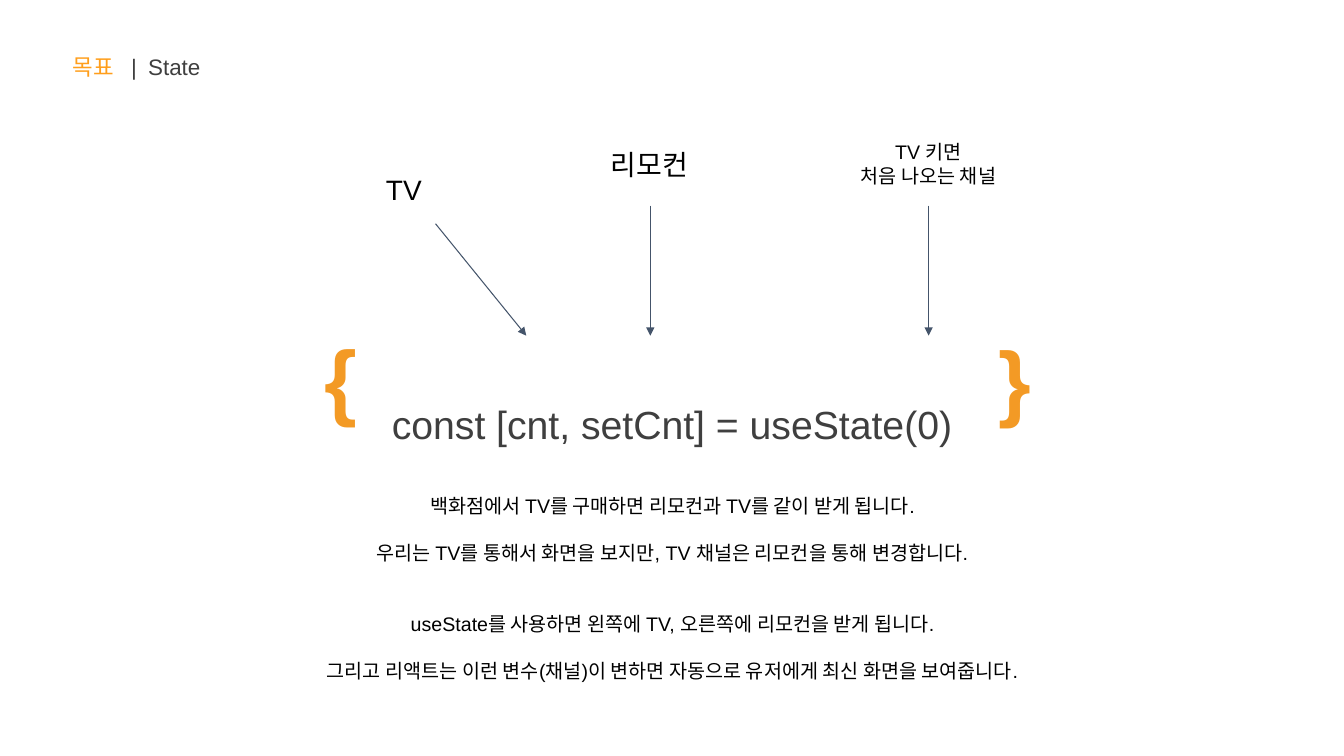
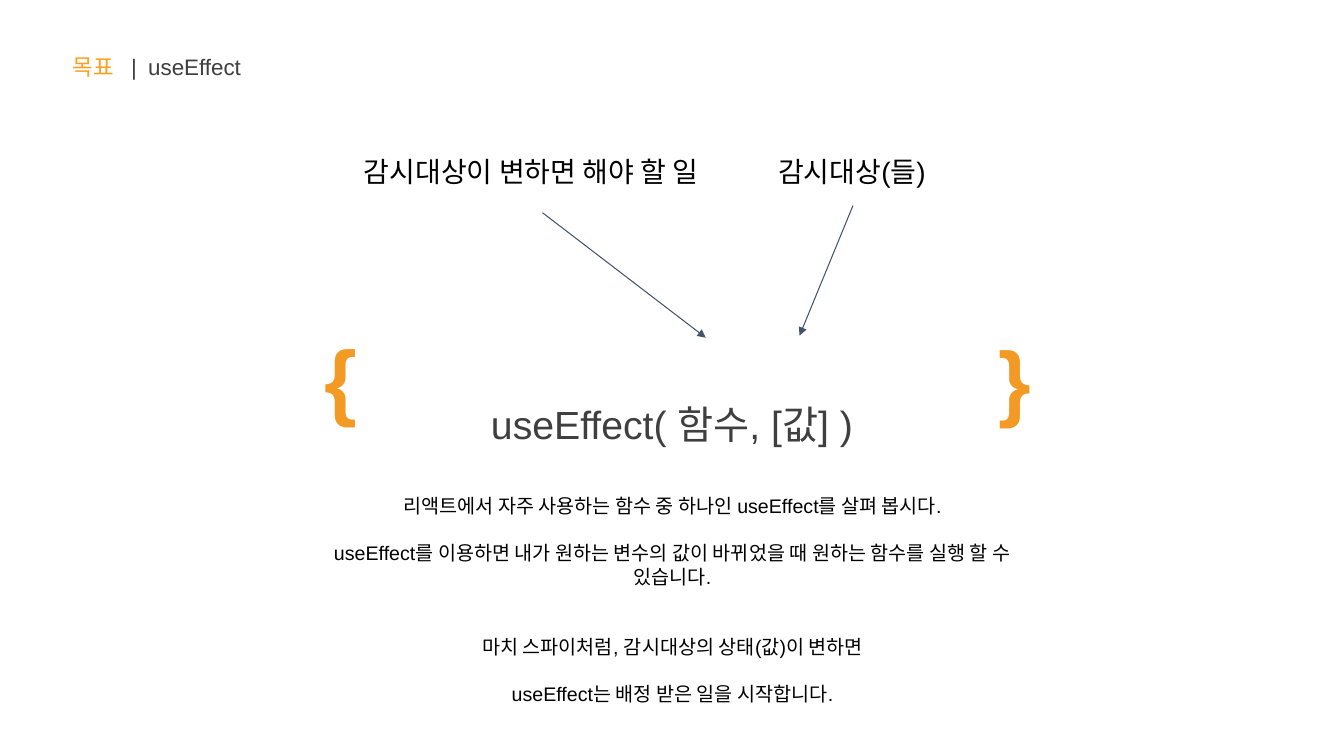
"""Build two slides that explain the React hooks useState and useEffect."""
from dataclasses import dataclass

from lxml import etree
from pptx import Presentation
from pptx.dml.color import RGBColor
from pptx.enum.shapes import MSO_CONNECTOR
from pptx.enum.text import MSO_ANCHOR, MSO_AUTO_SIZE, PP_ALIGN
from pptx.oxml.ns import qn
from pptx.presentation import Presentation as Deck
from pptx.slide import Slide
from pptx.text.text import TextFrame, _Paragraph
from pptx.util import Inches, Pt

LEFT, CENTER = PP_ALIGN.LEFT, PP_ALIGN.CENTER
TOP = MSO_ANCHOR.TOP
GROW, NO_FIT = MSO_AUTO_SIZE.SHAPE_TO_FIT_TEXT, MSO_AUTO_SIZE.NONE
STRAIGHT = MSO_CONNECTOR.STRAIGHT

BLACK = RGBColor(0x00, 0x00, 0x00)
GRAY = RGBColor(0x3F, 0x3F, 0x3F)
SLATE = RGBColor(0x44, 0x54, 0x6A)
ORANGE = RGBColor(0xFF, 0x9E, 0x1B)
BRACE_ORANGE = RGBColor(0xF3, 0x9A, 0x25)

FONT = "Arial"
TITLE_ONLY = 5
TITLE_TABS = (0.58, 0.75)
BODY_SIZE = 14
BODY_LINE = 16.8


@dataclass(frozen=True)
class Style:
    size: float
    color: RGBColor = BLACK
    bold: bool = False
    align: PP_ALIGN = LEFT
    line_spacing: float | None = None
    margin_y: float = 0.1


@dataclass(frozen=True)
class Line:
    text: str
    lines_before: int = 0


@dataclass(frozen=True)
class Box:
    left: float
    top: float
    width: float
    height: float
    lines: tuple[Line, ...]
    style: Style


@dataclass(frozen=True)
class Arrow:
    x1: float
    y1: float
    x2: float
    y2: float


@dataclass(frozen=True)
class Hook:
    topic: str
    code: str
    body: tuple[Line, ...]
    labels: tuple[Box, ...]
    arrows: tuple[Arrow, ...]


BRACE = Style(60, BRACE_ORANGE, bold=True, margin_y=0.05)
CODE = Style(28, GRAY, align=CENTER, line_spacing=2.0, margin_y=0.05)
BODY = Style(BODY_SIZE, align=CENTER)
LABEL = Style(20)
LABEL_CENTER = Style(20, align=CENTER)

BRACES = (
    Box(3.12, 3.19, 0.4, 1.11, (Line("{"),), BRACE),
    Box(9.81, 3.2, 0.4, 1.11, (Line("}"),), BRACE),
)

HOOKS = (
    Hook(
        "State",
        "const [cnt, setCnt] = useState(0)",
        (
            Line("백화점에서 TV를 구매하면 리모컨과 TV를 같이 받게 됩니다."),
            Line("우리는 TV를 통해서 화면을 보지만, TV 채널은 리모컨을 통해 변경합니다.", 1),
            Line("useState를 사용하면 왼쪽에 TV, 오른쪽에 리모컨을 받게 됩니다.", 2),
            Line("그리고 리액트는 이런 변수(채널)이 변하면 자동으로 유저에게 최신 화면을 보여줍니다.", 1),
        ),
        (
            Box(3.73, 1.61, 0.59, 0.54, (Line("TV"),), LABEL),
            Box(5.96, 1.36, 0.98, 0.54, (Line("리모컨"),), LABEL),
            Box(8.09, 1.29, 2.24, 0.67, (Line("TV 키면"), Line("처음 나오는 채널")), BODY),
        ),
        (
            Arrow(4.32, 2.22, 5.22, 3.33),
            Arrow(6.45, 2.04, 6.45, 3.33),
            Arrow(9.21, 2.04, 9.21, 3.33),
        ),
    ),
    Hook(
        "useEffect",
        "useEffect( 함수, [값] )",
        (
            Line("리액트에서 자주 사용하는 함수 중 하나인 useEffect를 살펴 봅시다."),
            Line("useEffect를 이용하면 내가 원하는 변수의 값이 바뀌었을 때 원하는 함수를 실행 할 수 있습니다.", 1),
            Line("마치 스파이처럼, 감시대상의 상태(값)이 변하면", 2),
            Line("useEffect는 배정 받은 일을 시작합니다.", 1),
        ),
        (
            Box(3.51, 1.43, 3.56, 0.54, (Line("감시대상이 변하면 해야 할 일"),), LABEL),
            Box(7.33, 1.43, 2.24, 0.54, (Line("감시대상(들)"),), LABEL_CENTER),
        ),
        (
            Arrow(5.38, 2.11, 7, 3.35),
            Arrow(8.46, 2.04, 7.93, 3.33),
        ),
    ),
)


def format_frame(tf: TextFrame, margin_y: float) -> None:
    """Set the wrapping, anchor and margins of a text frame."""
    tf.word_wrap = True
    tf.vertical_anchor = TOP
    tf.margin_left = tf.margin_right = Inches(0.1)
    tf.margin_top = tf.margin_bottom = Inches(margin_y)


def add_run(p: _Paragraph, text: str, size: float, color: RGBColor, bold: bool = False) -> None:
    """Append one formatted run to a paragraph."""
    r = p.add_run()
    r.text = text
    r.font.name = FONT
    r.font.size = Pt(size)
    r.font.bold = bold
    r.font.color.rgb = color


def add_box(s: Slide, box: Box) -> None:
    """Draw a text box with one paragraph for each line."""
    sp = s.shapes.add_textbox(
        Inches(box.left), Inches(box.top), Inches(box.width), Inches(box.height)
    )
    tf, style = sp.text_frame, box.style
    format_frame(tf, style.margin_y)
    tf.auto_size = GROW
    for i, line in enumerate(box.lines):
        p = tf.add_paragraph() if i else tf.paragraphs[0]
        p.alignment = style.align
        if style.line_spacing:
            p.line_spacing = style.line_spacing
        p.space_before = Pt(line.lines_before * BODY_LINE)
        add_run(p, line.text, style.size, style.color, style.bold)


def add_arrow(s: Slide, arrow: Arrow) -> None:
    """Draw a thin straight arrow."""
    sp = s.shapes.add_connector(
        STRAIGHT, Inches(arrow.x1), Inches(arrow.y1), Inches(arrow.x2), Inches(arrow.y2)
    )
    sp.line.color.rgb = SLATE
    sp.line.width = Pt(0.75)
    etree.SubElement(sp.line._get_or_add_ln(), qn("a:tailEnd"), type="triangle")
    etree.SubElement(sp._element.spPr, qn("a:effectLst"))


def set_title(s: Slide, topic: str) -> None:
    """Place the title with its orange heading and the topic."""
    sp = s.shapes.title
    sp.left, sp.top = Inches(0.62), Inches(0.48)
    sp.width, sp.height = Inches(5.15), Inches(0.37)
    tf = sp.text_frame
    format_frame(tf, 0.05)
    tf.auto_size = NO_FIT
    p = tf.paragraphs[0]
    p.alignment = LEFT
    tabs = etree.SubElement(p._p.get_or_add_pPr(), qn("a:tabLst"))
    for pos in TITLE_TABS:
        etree.SubElement(tabs, qn("a:tab"), pos=str(Inches(pos)), algn="l")
    add_run(p, "목표", 16, ORANGE)
    add_run(p, f"\t|\t{topic}", 16, GRAY)


def add_hook_slide(prs: Deck, hook: Hook) -> None:
    """Add the slide for one hook."""
    s = prs.slides.add_slide(prs.slide_layouts[TITLE_ONLY])
    set_title(s, hook.topic)
    code = Box(3.35, 3.46, 6.63, 0.57, (Line(hook.code),), CODE)
    body = Box(3.03, 4.8, 7.28, 2.2, hook.body, BODY)
    for box in (*BRACES, code, body, *hook.labels):
        add_box(s, box)
    for arrow in hook.arrows:
        add_arrow(s, arrow)


def main() -> None:
    """Build and save the presentation."""
    prs = Presentation()
    prs.slide_width, prs.slide_height = Inches(13.33), Inches(7.5)
    for hook in HOOKS:
        add_hook_slide(prs, hook)
    prs.save("out.pptx")


if __name__ == "__main__":
    main()
